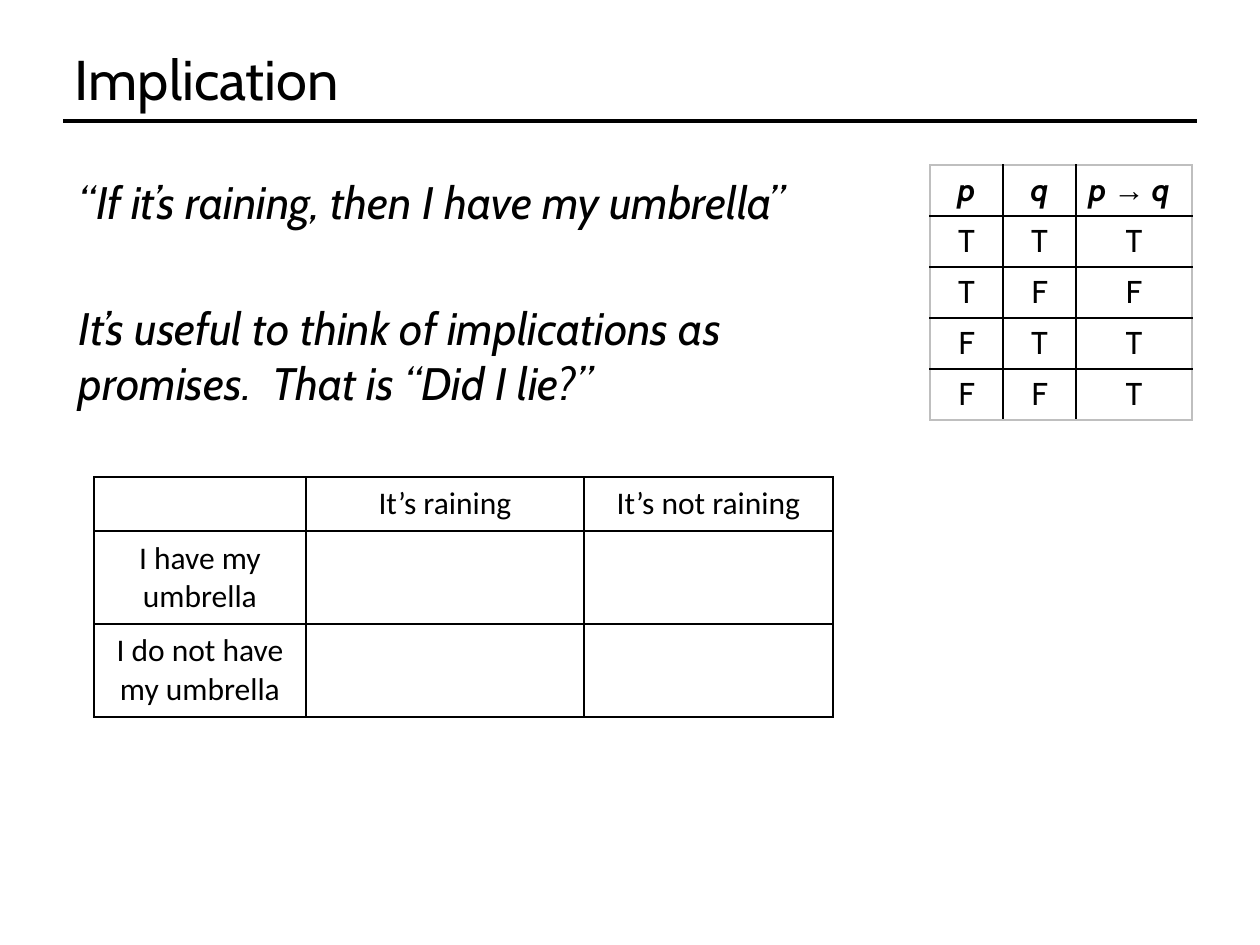
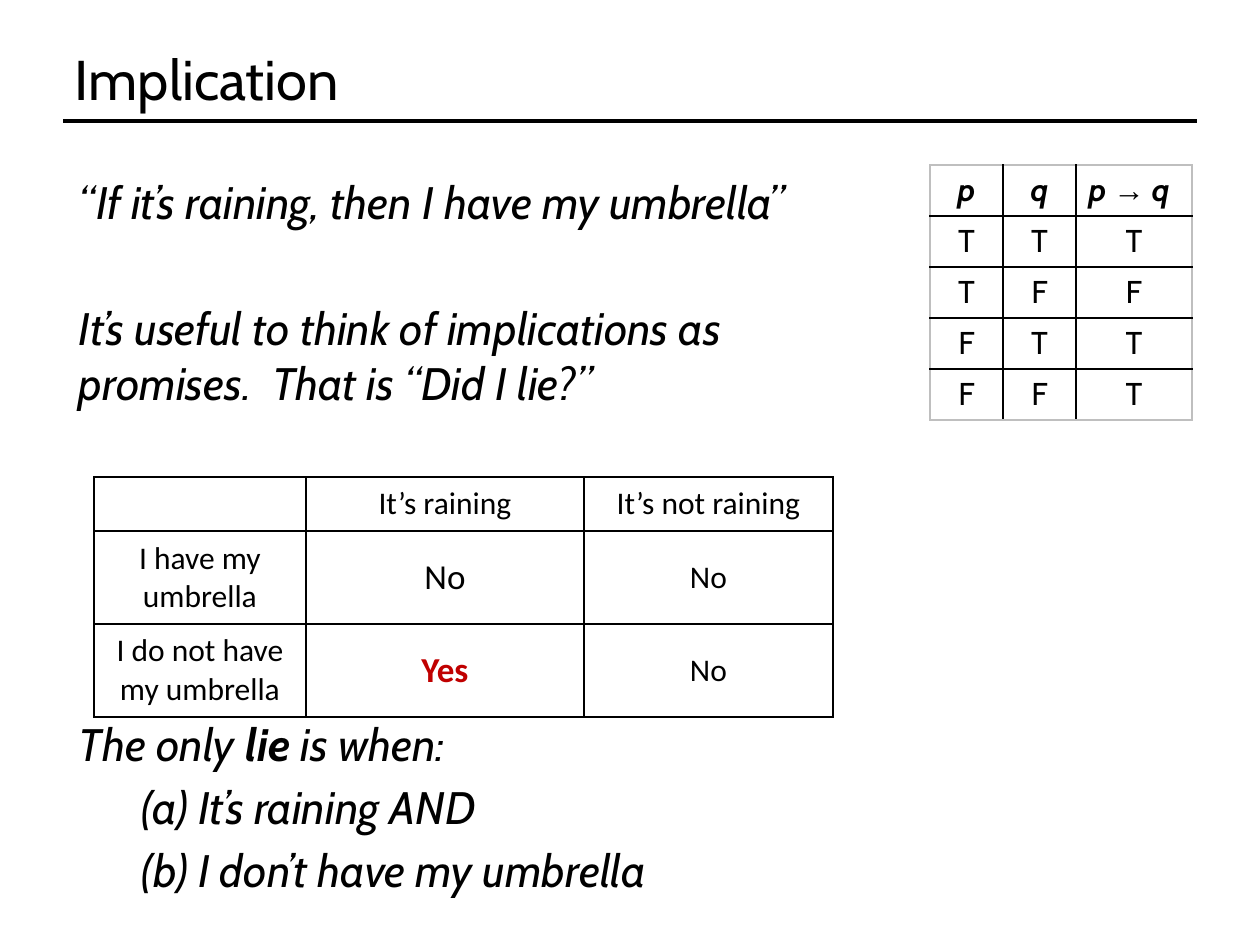
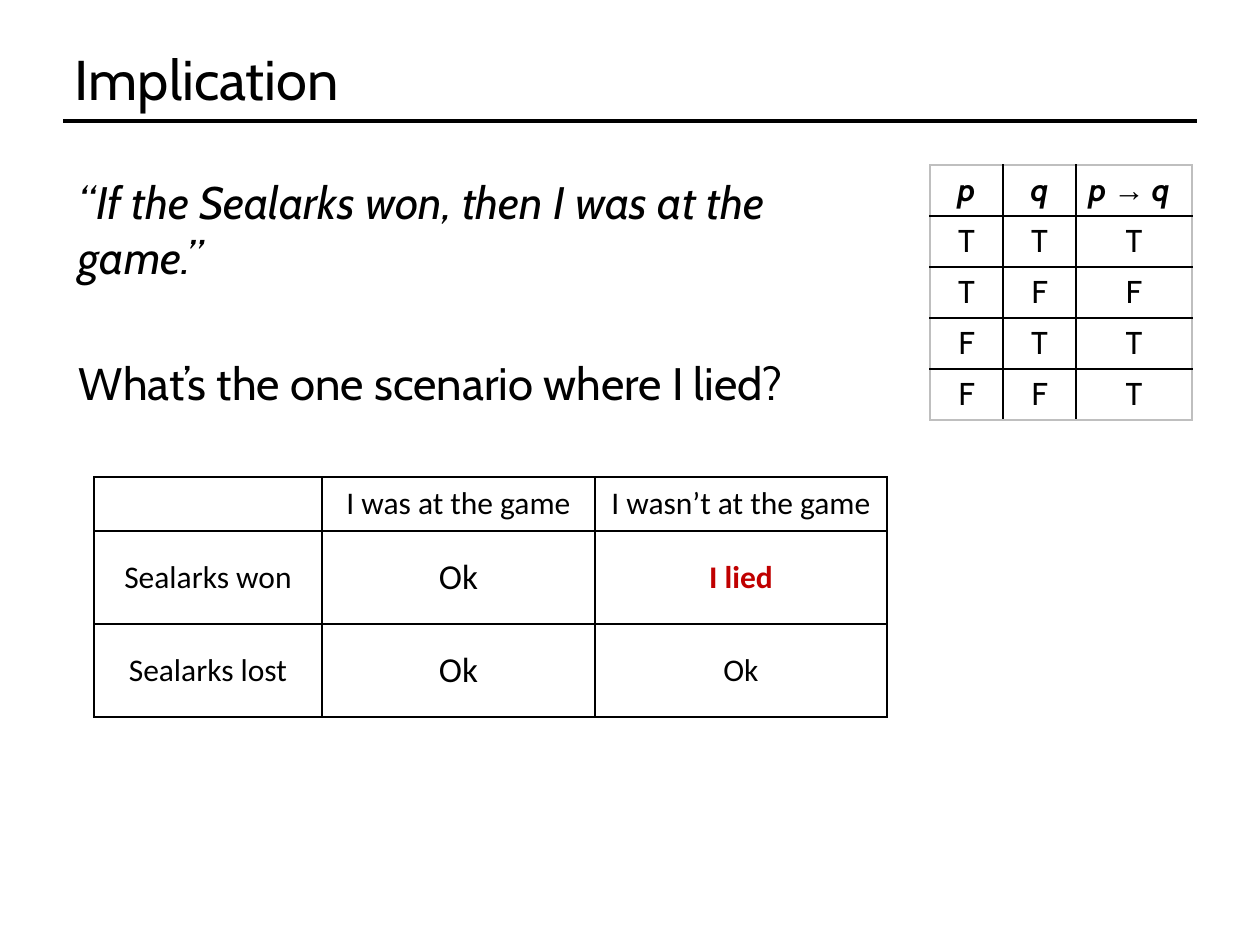
from lxml.etree import SubElement
from pptx import Presentation
from pptx.dml.color import RGBColor
from pptx.enum.shapes import MSO_CONNECTOR
from pptx.enum.text import MSO_ANCHOR, PP_ALIGN
from pptx.oxml.ns import qn
from pptx.util import Pt

COLORS = {"ink": "000000", "lie": "C00000", "edge": "BFBFBF"}
LIES = ("Yes", "I lied")
TITLE = "Implication"
VOW = "“If it’s raining, then I have my umbrella”"
HINT = "It’s useful to think of implications as promises.  That is “Did I lie?”"
HEAD = ["", "It’s raining", "It’s not raining"]
HAVE, LACK = "I have my umbrella", "I do not have my umbrella"
RAIN = (212, 278, 249)
GAME = (228, 273, 292)
WIDE = 41

SLIDES = [
    {
        "body": [(VOW, {}), (HINT, {"before": WIDE})],
        "cols": RAIN,
        "grid": [HEAD, [HAVE, "", ""], [LACK, "", ""]],
    },
    {
        "body": [
            (VOW, {}),
            (HINT, {"before": WIDE}),
            ([("The only ", {}), ("lie", {"bold": True}), (" is when:", {})],
             {"before": 175}),
            ("(a) It’s raining AND", {"before": 5, "indent": 63}),
            ("(b) I don’t have my umbrella", {"before": 5, "indent": 63}),
        ],
        "cols": RAIN,
        "grid": [HEAD, [HAVE, "No", "No"], [LACK, "Yes", "No"]],
    },
    {
        "body": [
            ("“If the Sealarks won, then I was at the game.”", {}),
            ("What’s the one scenario where I lied?",
             {"before": WIDE, "italic": False}),
        ],
        "cols": GAME,
        "grid": [
            ["", "I was at the game", "I wasn’t at the game"],
            ["Sealarks won", "Ok", "I lied"],
            ["Sealarks lost", "Ok", "Ok"],
        ],
    },
]

ARROW = [("p ", {}), ("→", {"font": "Arial"}), (" q", {})]
TRUTH = [["p", "q", ARROW], *(list(row) for row in ("TTT", "TFF", "FTT", "FFT"))]


def px(n):
    return round(n * 914400 / 126)


def text(para, words, size=18, font="Cabin", color="ink", bold=False,
         italic=False, align=PP_ALIGN.LEFT, before=0, indent=0):
    para.alignment = align
    para.space_before = Pt(before)
    if indent:
        para._p.get_or_add_pPr().set("marL", str(px(indent)))
    base = {"font": font, "bold": bold}
    for part, extra in [(words, {})] if isinstance(words, str) else words:
        look = base | extra
        run = para.add_run()
        run.text = part
        run.font.size = Pt(size)
        run.font.name = look["font"]
        run.font.bold = look["bold"]
        run.font.italic = italic
        run.font.color.rgb = RGBColor.from_string(COLORS[color])


def box(slide, x, y, w, h, top=6, left=12, anchor=MSO_ANCHOR.TOP):
    frame = slide.shapes.add_textbox(px(x), px(y), px(w), px(h)).text_frame
    frame.word_wrap = True
    frame.vertical_anchor = anchor
    frame.margin_top = px(top)
    frame.margin_left = px(left)
    return frame


def border(cell, hues):
    props = cell._tc.get_or_add_tcPr()
    for side, hue in zip("LRTB", hues):
        line = SubElement(props, qn(f"a:ln{side}"), w=str(Pt(1)))
        fill = SubElement(line, qn("a:solidFill"))
        SubElement(fill, qn("a:srgbClr"), val=COLORS[hue])


def table(slide, x, y, cols, rows, grid, style, edge="ink"):
    frame = slide.shapes.add_table(len(rows), len(cols), px(x), px(y),
                                   px(sum(cols)), px(sum(rows)))
    tab = frame.table
    tab.first_row = tab.horz_banding = False
    for col, wide in zip(tab.columns, cols):
        col.width = px(wide)
    for row, high in zip(tab.rows, rows):
        row.height = px(high)
    for r, line in enumerate(grid):
        for c, words in enumerate(line):
            cell = tab.cell(r, c)
            rims = (c == 0, c == len(cols) - 1, r == 0, r == len(rows) - 1)
            border(cell, [edge if rim else "ink" for rim in rims])
            cell.fill.background()
            anchor, look = style(r, c, words)
            cell.vertical_anchor = anchor
            if words:
                text(cell.text_frame.paragraphs[0], words, **look)


def logic(r, c, words):
    align = PP_ALIGN.LEFT if words is ARROW else PP_ALIGN.CENTER
    return MSO_ANCHOR.TOP, {"bold": r == 0, "italic": r == 0, "align": align}


def case(r, c, words):
    lie = words in LIES
    return MSO_ANCHOR.MIDDLE, {
        "font": "Calibri",
        "size": 20 if r and c == 1 else 18,
        "color": "lie" if lie else "ink",
        "bold": lie,
        "align": PP_ALIGN.CENTER,
    }


def header(slide):
    rule = slide.shapes.add_connector(MSO_CONNECTOR.STRAIGHT, px(63), px(121),
                                      px(1197), px(121))
    rule.line.width = Pt(2)
    rule.line.color.rgb = RGBColor.from_string(COLORS["ink"])
    SubElement(rule._element.spPr, qn("a:effectLst"))
    frame = box(slide, 63, 35, 1134, 83, anchor=MSO_ANCHOR.BOTTOM)
    text(frame.paragraphs[0], TITLE, size=32)


def main():
    deck = Presentation()
    deck.slide_width, deck.slide_height = px(1260), px(945)
    for data in SLIDES:
        slide = deck.slides.add_slide(deck.slide_layouts[6])
        header(slide)
        frame = box(slide, 68, 165, 793, 624, top=9, left=11)
        for i, (words, look) in enumerate(data["body"]):
            para = frame.add_paragraph() if i else frame.paragraphs[0]
            text(para, words, **({"size": 26, "italic": True} | look))
        table(slide, 930, 165, (73, 73, 116), [51] * 5, TRUTH, logic, "edge")
        table(slide, 94, 477, data["cols"], (54, 93, 93), data["grid"], case)
    deck.save("out.pptx")


if __name__ == "__main__":
    main()
